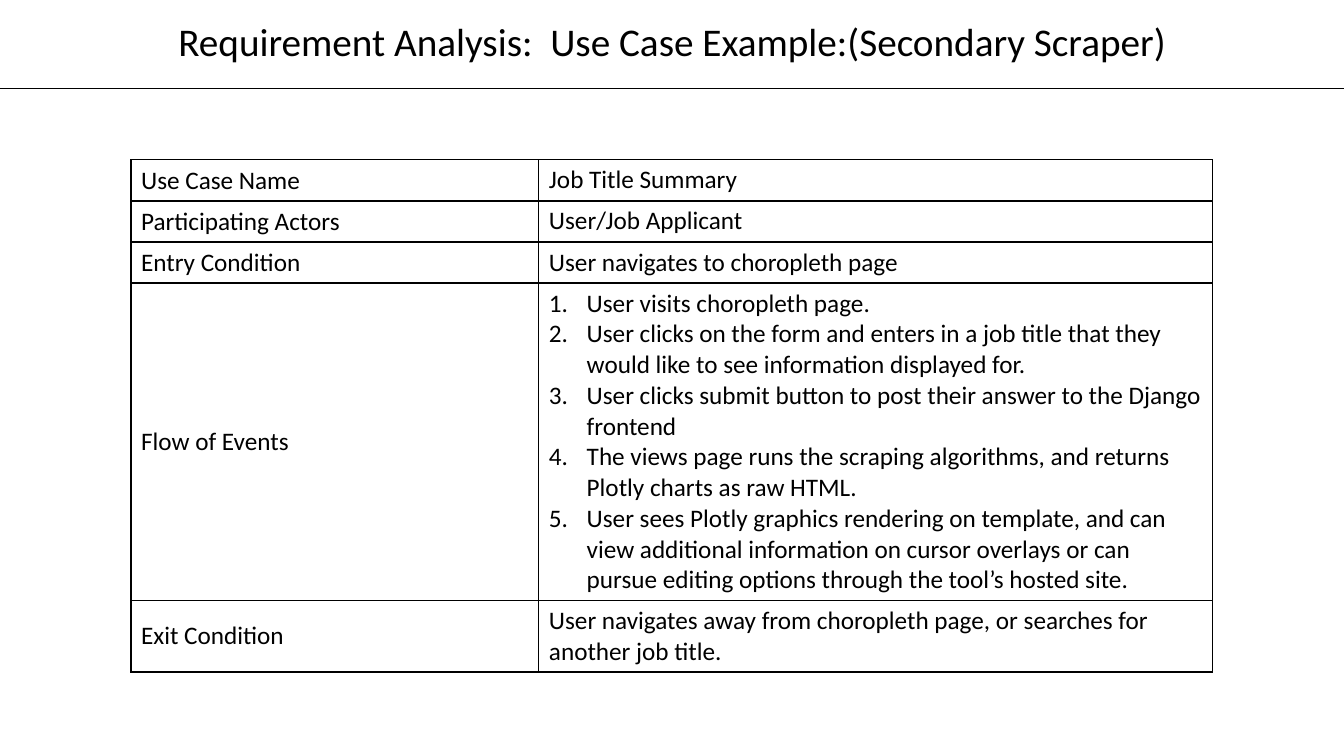
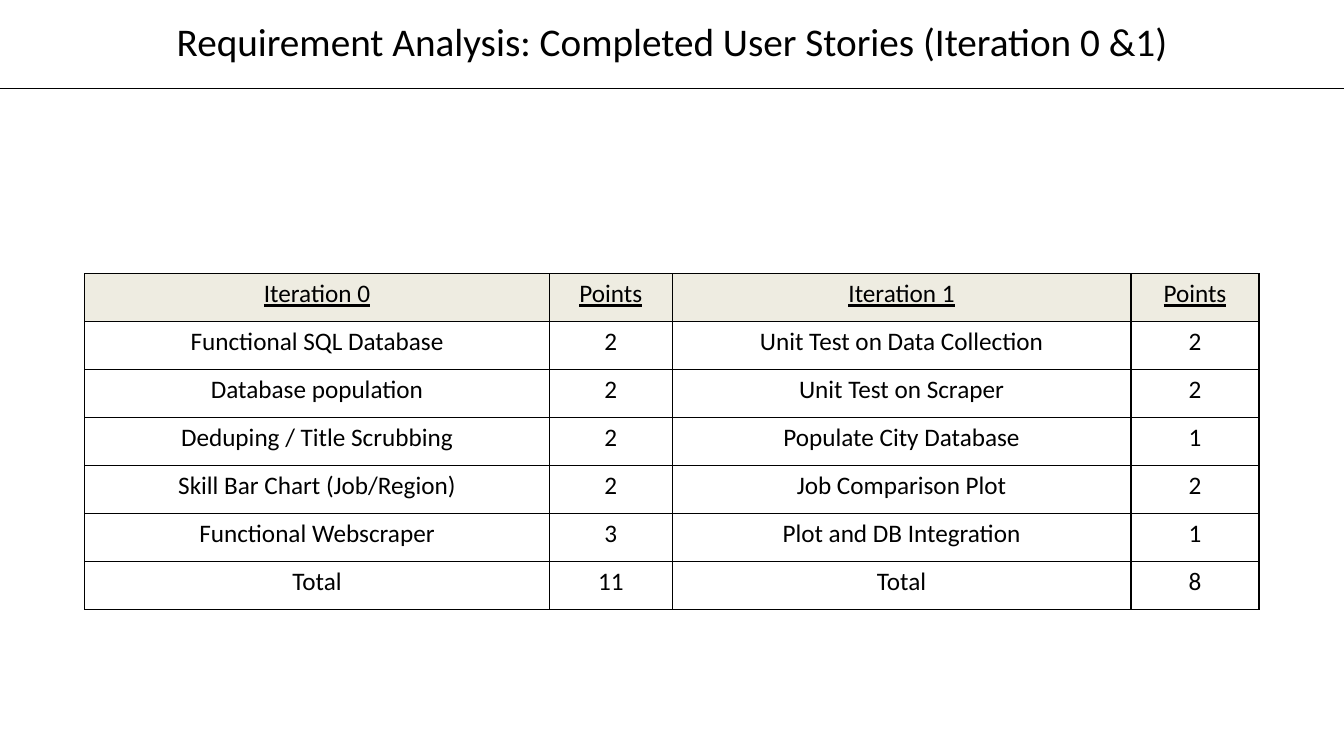
from dataclasses import dataclass

import lxml.etree
import pptx
import pptx.dml.color
import pptx.enum.shapes
import pptx.enum.text
import pptx.oxml.ns
import pptx.presentation
import pptx.slide
import pptx.table
import pptx.text.text
import pptx.util

Align = pptx.enum.text.PP_ALIGN
Anchor = pptx.enum.text.MSO_ANCHOR
qn = pptx.oxml.ns.qn

SLIDE_WIDTH = pptx.util.Inches(13.33)
SLIDE_HEIGHT = pptx.util.Inches(7.5)
BLANK_LAYOUT = 6


@dataclass(frozen=True)
class Theme:
    font: str = "Calibri"
    ink: str = "000000"
    heading_fill: str = "EEECE1"
    title_size: float = 28
    body_size: float = 18
    rule_width: float = 0.5
    border_width: float = 1
    title_spacing: float = 0.9
    title_band: float = 11.7
    step_indent: float = 2.81


THEME = Theme()


@dataclass(frozen=True)
class Steps:
    items: tuple[str, ...]


@dataclass(frozen=True)
class Grid:
    left: float
    top: float
    columns: tuple[float, ...]
    rows: tuple[float, ...]
    cells: tuple[tuple[str | Steps, ...], ...]
    align: Align = Align.LEFT
    label_anchor: Anchor = Anchor.TOP
    has_heading: bool = False


@dataclass(frozen=True)
class Page:
    title: str
    grid: Grid


PAGES = (
    Page(
        "Requirement Analysis:  Use Case Example:(Secondary Scraper)",
        Grid(
            left=9.75,
            top=21.15,
            columns=(30.35, 50.15),
            rows=(5.43, 5.43, 5.43, 42, 9.45),
            label_anchor=Anchor.MIDDLE,
            cells=(
                ("Use Case Name", "Job Title Summary"),
                ("Participating Actors", "User/Job Applicant"),
                ("Entry Condition", "User navigates to choropleth page"),
                ("Flow of Events", Steps((
                    "User visits choropleth page.",
                    "User clicks on the form and enters in a job title that they "
                    "would like to see information displayed for.",
                    "User clicks submit button to post their answer to the Django "
                    "frontend",
                    "The views page runs the scraping algorithms, and returns "
                    "Plotly charts as raw HTML.",
                    "User sees Plotly graphics rendering on template, and can "
                    "view additional information on cursor overlays or can "
                    "pursue editing options through the tool’s hosted site.",
                ))),
                ("Exit Condition",
                 "User navigates away from choropleth page, or searches for "
                 "another job title."),
            ),
        ),
    ),
    Page(
        "Requirement Analysis: Completed User Stories (Iteration 0 &1)",
        Grid(
            left=6.3,
            top=36.2,
            columns=(34.58, 9.14, 34.13, 9.53),
            rows=(6.35,) * 7,
            align=Align.CENTER,
            has_heading=True,
            cells=(
                ("Iteration 0", "Points", "Iteration 1", "Points"),
                ("Functional SQL Database", "2", "Unit Test on Data Collection", "2"),
                ("Database population", "2", "Unit Test on Scraper", "2"),
                ("Deduping / Title Scrubbing", "2", "Populate City Database", "1"),
                ("Skill Bar Chart (Job/Region)", "2", "Job Comparison Plot", "2"),
                ("Functional Webscraper", "3", "Plot and DB Integration", "1"),
                ("Total", "11", "Total", "8"),
            ),
        ),
    ),
)


def across(percent: float) -> pptx.util.Emu:
    return pptx.util.Emu(round(SLIDE_WIDTH * percent / 100))


def down(percent: float) -> pptx.util.Emu:
    return pptx.util.Emu(round(SLIDE_HEIGHT * percent / 100))


def rgb(color: str) -> pptx.dml.color.RGBColor:
    return pptx.dml.color.RGBColor.from_string(color)


def style_paragraph(paragraph: pptx.text.text._Paragraph, size: float,
                    align: Align, underline: bool = False) -> None:
    paragraph.alignment = align
    for run in paragraph.runs:
        run.font.name = THEME.font
        run.font.size = pptx.util.Pt(size)
        run.font.color.rgb = rgb(THEME.ink)
        run.font.bold = False
        run.font.underline = underline


def number_paragraph(paragraph: pptx.text.text._Paragraph) -> None:
    properties = paragraph._p.get_or_add_pPr()
    indent = across(THEME.step_indent)
    properties.set("marL", str(indent))
    properties.set("indent", str(-indent))
    lxml.etree.SubElement(properties, qn("a:buAutoNum"), type="arabicPeriod")


def add_borders(cell: pptx.table._Cell) -> None:
    properties = cell._tc.get_or_add_tcPr()
    width = str(pptx.util.Pt(THEME.border_width))
    for position, side in enumerate(("lnL", "lnR", "lnT", "lnB")):
        border = lxml.etree.Element(qn(f"a:{side}"), w=width)
        fill = lxml.etree.SubElement(border, qn("a:solidFill"))
        lxml.etree.SubElement(fill, qn("a:srgbClr"), val=THEME.ink)
        properties.insert(position, border)


def fill_cell(cell: pptx.table._Cell, content: str | Steps,
              align: Align, is_heading: bool) -> None:
    numbered = isinstance(content, Steps)
    cell.text_frame.text = "\n".join(content.items) if numbered else content
    for paragraph in cell.text_frame.paragraphs:
        style_paragraph(paragraph, THEME.body_size, align, is_heading)
        if numbered:
            number_paragraph(paragraph)
    if is_heading:
        cell.fill.solid()
        cell.fill.fore_color.rgb = rgb(THEME.heading_fill)
    else:
        cell.fill.background()
    add_borders(cell)


def add_title(slide: pptx.slide.Slide, title: str) -> None:
    band = down(THEME.title_band)
    frame = slide.shapes.add_textbox(0, 0, SLIDE_WIDTH, band).text_frame
    frame.word_wrap = True
    frame.vertical_anchor = Anchor.MIDDLE
    frame.text = title
    heading = frame.paragraphs[0]
    heading.line_spacing = THEME.title_spacing
    style_paragraph(heading, THEME.title_size, Align.CENTER)

    rule = slide.shapes.add_connector(
        pptx.enum.shapes.MSO_CONNECTOR.STRAIGHT, 0, band, SLIDE_WIDTH, band)
    rule.line.color.rgb = rgb(THEME.ink)
    rule.line.width = pptx.util.Pt(THEME.rule_width)
    lxml.etree.SubElement(rule._element.spPr, qn("a:effectLst"))


def add_grid(slide: pptx.slide.Slide, grid: Grid) -> None:
    table = slide.shapes.add_table(
        len(grid.rows), len(grid.columns), across(grid.left), down(grid.top),
        across(sum(grid.columns)), down(sum(grid.rows))).table
    table.first_row = grid.has_heading
    table.horz_banding = False
    for column, share in zip(table.columns, grid.columns):
        column.width = across(share)
    for row, share in zip(table.rows, grid.rows):
        row.height = down(share)
    for row_index, contents in enumerate(grid.cells):
        is_heading = grid.has_heading and row_index == 0
        for column_index, content in enumerate(contents):
            cell = table.cell(row_index, column_index)
            fill_cell(cell, content, grid.align, is_heading)
        table.cell(row_index, 0).vertical_anchor = grid.label_anchor


def add_page(deck: pptx.presentation.Presentation, page: Page) -> None:
    slide = deck.slides.add_slide(deck.slide_layouts[BLANK_LAYOUT])
    add_title(slide, page.title)
    add_grid(slide, page.grid)


def main() -> None:
    deck = pptx.Presentation()
    deck.slide_width = SLIDE_WIDTH
    deck.slide_height = SLIDE_HEIGHT
    for page in PAGES:
        add_page(deck, page)
    deck.save("out.pptx")


if __name__ == "__main__":
    main()
